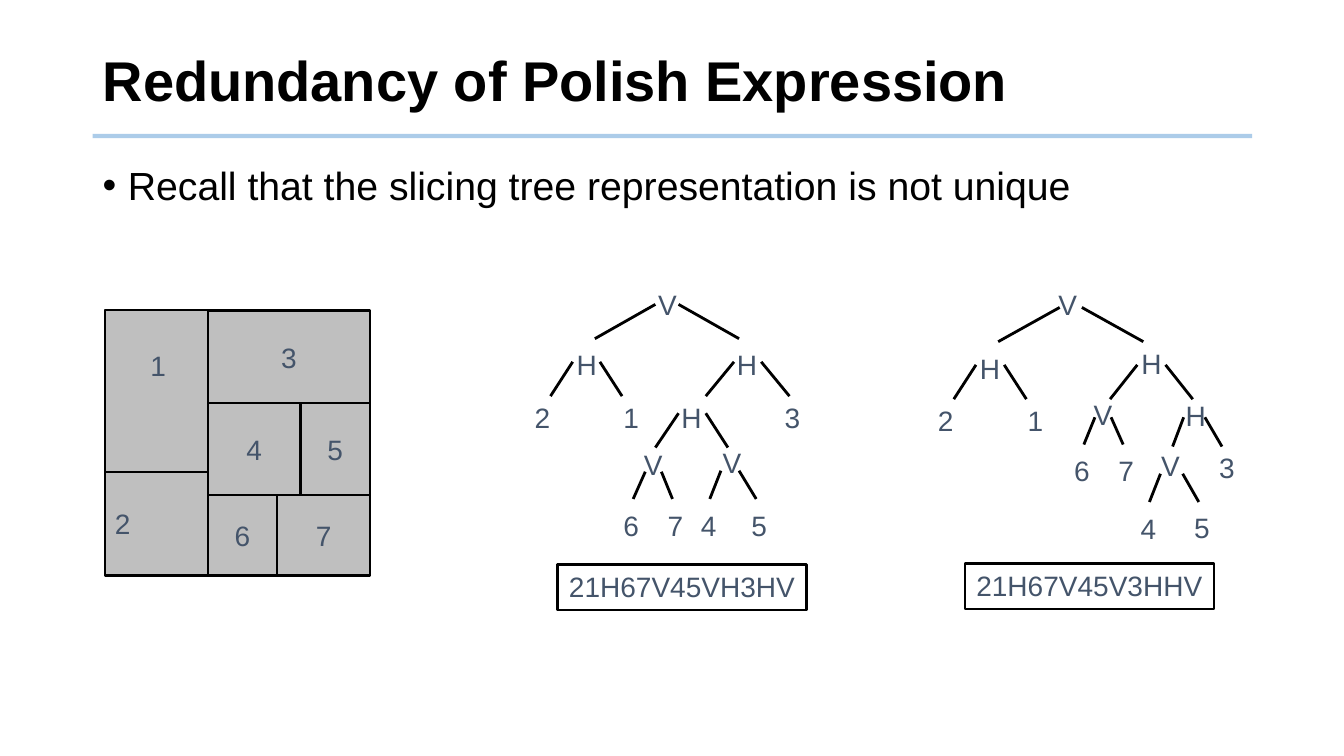
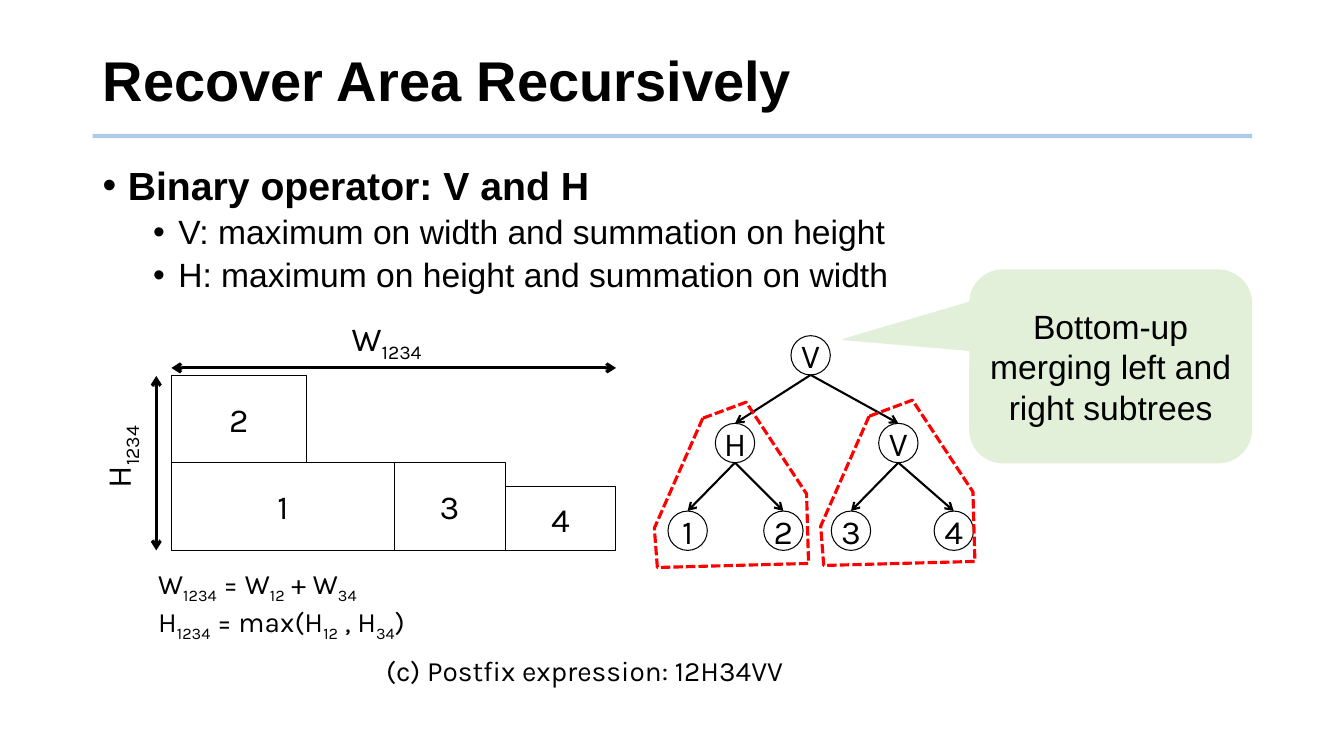
from dataclasses import dataclass
from typing import NamedTuple

from lxml import etree
from pptx import Presentation
from pptx.dml.color import RGBColor
from pptx.enum import dml, shapes as shp, text as txt
from pptx.oxml.ns import qn
from pptx.util import Inches, Pt

# Shared look
BLACK, SLATE, GREY = "000000", "44546A", "BFBFBF"
BLUE, GREEN, RED = "5B9BD5", "E2F0D9", "FF0000"
SANS, KARLA = "Arial", "Karla"
LEFT, MID = txt.PP_ALIGN.LEFT, txt.PP_ALIGN.CENTER
TOP, CENTER = txt.MSO_ANCHOR.TOP, txt.MSO_ANCHOR.MIDDLE
RECT, OVAL = shp.MSO_SHAPE.RECTANGLE, shp.MSO_SHAPE.OVAL


class Item(NamedTuple):
    text: str
    size: int
    bold: bool
    indent: float
    before: int


class Block(NamedTuple):
    text: str
    left: float
    top: float
    right: float
    bottom: float


class Label(NamedTuple):
    text: str
    x: float
    top: float


class Fork(NamedTuple):
    """Two branches leaving at one height and ending at another."""
    left: float
    right: float
    top: float
    left_end: float
    right_end: float
    bottom: float


@dataclass
class Tree:
    labels: list[Label]
    forks: list[Fork]
    code: str
    box: tuple[float, float]


@dataclass
class Node:
    text: str
    x: float
    kids: tuple["Node", ...] = ()


# Drawing helpers
def color(code: str) -> RGBColor:
    return RGBColor.from_string(code)


def style(para, *, size=20, font=SANS, ink=BLACK, bold=False, align=LEFT):
    para.alignment = align
    para.font.size, para.font.name = Pt(size), font
    para.font.bold, para.font.color.rgb = bold, color(ink)


def write(shape, content: str, *, anchor=TOP, wrap=True, pad=(0.1, 0.05), **form):
    """Fill a shape with text; every second part between bars is a subscript."""
    frame = shape.text_frame
    frame.word_wrap, frame.vertical_anchor = wrap, anchor
    frame.margin_left = frame.margin_right = Inches(pad[0])
    frame.margin_top = frame.margin_bottom = Inches(pad[1])
    for i, row in enumerate(content.split("\n")):
        para = frame.add_paragraph() if i else frame.paragraphs[0]
        style(para, **form)
        for j, part in enumerate(row.split("|")):
            if part:
                run = para.add_run()
                run.text = part
                if j % 2:
                    run._r.get_or_add_rPr().set("baseline", "-25000")


def area(slide, left: float, top: float, width: float, height: float):
    return slide.shapes.add_textbox(
        Inches(left), Inches(top), Inches(width), Inches(height))


def outline(shape, ink: str, width: float, fill: str | None = None):
    shape.shadow.inherit = False
    if fill:
        shape.fill.solid()
        shape.fill.fore_color.rgb = color(fill)
    else:
        shape.fill.background()
    shape.line.color.rgb, shape.line.width = color(ink), Pt(width)


def draw(slide, kind, left: float, top: float, width: float, height: float, *,
         ink=BLACK, line=0.75, fill=None):
    shape = slide.shapes.add_shape(
        kind, Inches(left), Inches(top), Inches(width), Inches(height))
    outline(shape, ink, line, fill)
    return shape


def join(slide, x1: float, y1: float, x2: float, y2: float, *,
         ink=BLACK, width=2.0, ends=(), alpha=100):
    link = slide.shapes.add_connector(
        shp.MSO_CONNECTOR.STRAIGHT, Inches(x1), Inches(y1), Inches(x2), Inches(y2))
    link.line.color.rgb, link.line.width = color(ink), Pt(width)
    props = link._element.spPr
    edge = props.find(qn("a:ln"))
    if alpha < 100:
        tint = edge.find(".//" + qn("a:srgbClr"))
        etree.SubElement(tint, qn("a:alpha")).set("val", str(alpha * 1000))
    for end in ends:
        etree.SubElement(edge, qn(f"a:{end}End")).set("type", "arrow")
    etree.SubElement(props, qn("a:effectLst"))
    return link


def start(deck, title: str, items: list[Item]):
    """Add a slide with its title, rule and bullets."""
    slide = deck.slides.add_slide(deck.slide_layouts[6])
    join(slide, 0.92, 1.35, 12.42, 1.35, ink=BLUE, width=3, alpha=50)
    head = area(slide, 0.92, 0.28, 11.5, 1.1)
    write(head, title, size=40, bold=True, anchor=CENTER)
    head.text_frame.paragraphs[0].line_spacing = 0.9
    body = area(slide, 0.92, 1.6, 11.5, 5.15).text_frame
    body.word_wrap = True
    for i, item in enumerate(items):
        para = body.add_paragraph() if i else body.paragraphs[0]
        props = para._p.get_or_add_pPr()
        props.set("marL", str(Inches(item.indent)))
        props.set("indent", str(-Inches(0.25)))
        etree.SubElement(props, qn("a:buFont")).set("typeface", SANS)
        etree.SubElement(props, qn("a:buChar")).set("char", "•")
        para.line_spacing = 0.9
        if i:
            para.space_before = Pt(item.before)
        style(para, size=item.size, bold=item.bold)
        para.add_run().text = item.text
    return slide


# Slide 1 content
FLOOR = [
    Block("", 1.04, 3.08, 2.06, 4.68), Block("2", 1.04, 4.68, 2.06, 5.71),
    Block("3", 2.06, 3.08, 3.67, 4.0), Block("4", 2.06, 4.0, 2.98, 4.91),
    Block("5", 2.98, 4.0, 3.67, 4.91), Block("6", 2.06, 4.91, 2.75, 5.71),
    Block("7", 2.75, 4.91, 3.67, 5.71),
]
TREES = [
    Tree(
        [Label("V", 6.62, 2.8), Label("H", 5.82, 3.4), Label("H", 7.41, 3.4),
         Label("2", 5.38, 3.92), Label("1", 6.26, 3.92), Label("H", 6.86, 3.92),
         Label("3", 7.86, 3.92), Label("V", 6.48, 4.39), Label("V", 7.26, 4.37),
         Label("6", 6.26, 5), Label("7", 6.7, 5), Label("4", 7.03, 5),
         Label("5", 7.53, 5)],
        [Fork(6.5, 6.73, 3.02, 5.9, 7.33, 3.36),
         Fork(5.68, 5.95, 3.59, 5.46, 6.17, 3.93),
         Fork(7.28, 7.55, 3.59, 7.0, 7.83, 3.93),
         Fork(6.73, 7.0, 4.1, 6.5, 7.22, 4.44),
         Fork(6.4, 6.56, 4.68, 6.28, 6.67, 4.95),
         Fork(7.15, 7.33, 4.67, 7.04, 7.5, 4.95)],
        "21H67V45VH3HV", (5.53, 5.6)),
    Tree(
        [Label("V", 10.59, 2.8), Label("H", 9.82, 3.44), Label("H", 11.42, 3.39),
         Label("2", 9.38, 3.95), Label("1", 10.27, 3.95), Label("V", 10.94, 3.89),
         Label("H", 11.86, 3.9), Label("6", 10.73, 4.45), Label("7", 11.17, 4.45),
         Label("V", 11.61, 4.4), Label("3", 12.17, 4.42), Label("4", 11.39, 5.03),
         Label("5", 11.92, 5.02)],
        [Fork(10.51, 10.73, 3.05, 9.9, 11.34, 3.39),
         Fork(9.68, 9.96, 3.62, 9.46, 10.18, 3.96),
         Fork(11.28, 11.56, 3.62, 11.01, 11.83, 3.96),
         Fork(10.86, 11.02, 4.14, 10.75, 11.14, 4.41),
         Fork(11.74, 11.95, 4.14, 11.63, 12.12, 4.43),
         Fork(11.51, 11.73, 4.7, 11.4, 11.89, 4.98)],
        "21H67V45V3HHV", (9.57, 5.59)),
]

# Slide 2 content
STACK = [
    Block("1", 1.7, 4.59, 3.91, 5.46), Block("2", 1.7, 3.73, 3.04, 4.59),
    Block("3", 3.91, 4.59, 5.01, 5.46), Block("4", 5.01, 4.83, 6.11, 5.46),
]
ROOT = Node("V", 8.04, (
    Node("H", 7.29, (Node("1", 6.82), Node("2", 7.77))),
    Node("V", 8.91, (Node("3", 8.44), Node("4", 9.46)))))
RING = [(6.97, 4.15), (6.49, 5.24), (6.52, 5.63), (8.02, 5.59), (8.0, 4.9), (7.4, 3.99)]
SIZE, STEP = 0.39, 0.87


def blocks(slide, parts: list[Block], *, line: float, fill=None, **form):
    for part in parts:
        shape = draw(slide, RECT, part.left, part.top, part.right - part.left,
                     part.bottom - part.top, line=line, fill=fill)
        if part.text:
            align = LEFT if fill and part.text == "2" else MID
            write(shape, part.text, anchor=CENTER, wrap=False, align=align, **form)


def label(slide, item: Label):
    write(area(slide, item.x - 0.2, item.top, 0.4, 0.43), item.text,
          wrap=False, ink=SLATE, align=MID)


def plant(slide, tree: Tree):
    for fork in tree.forks:
        join(slide, fork.left, fork.top, fork.left_end, fork.bottom)
        join(slide, fork.right, fork.top, fork.right_end, fork.bottom)
    for item in tree.labels:
        label(slide, item)
    box = draw(slide, RECT, *tree.box, 2.47, 0.45, line=1.5)
    write(box, tree.code, wrap=False, ink=SLATE, align=MID)


def grow(slide, node: Node, top: float):
    """Draw a node, then its subtrees with arrows to them."""
    disc = draw(slide, OVAL, node.x - SIZE / 2, top, SIZE, SIZE)
    write(disc, node.text, size=24, font=KARLA, align=MID, anchor=CENTER,
          wrap=False, pad=(0, 0))
    for kid in node.kids:
        child = grow(slide, kid, top + STEP)
        link = join(slide, node.x, top + SIZE, kid.x, top + STEP,
                    width=1.5, ends=("tail",))
        link.end_connect(child, 0)
    return disc


def ring(slide, dx: float, dy: float):
    spots = [(Inches(x + dx), Inches(y + dy)) for x, y in RING]
    path = slide.shapes.build_freeform(*spots[0])
    path.add_line_segments(spots[1:], close=True)
    shape = path.convert_to_shape()
    outline(shape, RED, 2.25)
    shape.line.dash_style = dml.MSO_LINE.SQUARE_DOT


def redundancy(deck):
    slide = start(deck, "Redundancy of Polish Expression", [
        Item("Recall that the slicing tree representation is not unique",
             28, False, 0.25, 10)])
    blocks(slide, FLOOR, line=1.5, fill=GREY, ink=SLATE)
    label(slide, Label("1", 1.57, 3.41))
    for tree in TREES:
        plant(slide, tree)


def recover(deck):
    slide = start(deck, "Recover Area Recursively", [
        Item("Binary operator: V and H", 28, True, 0.25, 10),
        Item("V: maximum on width and summation on height", 24, False, 0.75, 5),
        Item("H: maximum on height and summation on width", 24, False, 0.75, 5)])
    blocks(slide, STACK, line=0.75, size=24, font=KARLA)
    # Dimensions
    both = ("head", "tail")
    join(slide, 1.55, 3.73, 1.55, 5.46, width=2.25, ends=both)
    join(slide, 1.7, 3.65, 6.11, 3.65, width=2.25, ends=both)
    side = area(slide, 0.54, 4.26, 1.3, 0.55)
    side.rotation = 270
    write(side, "H|1234", size=24, font=KARLA, align=MID)
    write(area(slide, 1.55, 3.1, 4.57, 0.55), "W|1234", size=24, font=KARLA, align=MID)
    # Formulas
    write(area(slide, 1.47, 5.57, 8.58, 0.86),
          "W|1234| = W|12| + W|34\nH|1234| = max(H|12| , H|34|)", font=KARLA)
    write(area(slide, 1.47, 6.43, 8.66, 0.43), "(c) Postfix expression: 12H34VV",
          font=KARLA, align=MID)
    # Tree, callout and subtree outlines
    grow(slide, ROOT, 3.33)
    note = draw(slide, shp.MSO_SHAPE.ROUNDED_RECTANGULAR_CALLOUT,
                9.62, 2.68, 2.79, 1.91, ink=GREEN, line=1, fill=GREEN)
    for i, value in enumerate((-0.95, -0.14, 0.17)):
        note.adjustments[i] = value
    write(note, "Bottom-up merging left and right subtrees", size=24,
          align=MID, anchor=CENTER)
    for dx, dy in ((0, 0), (1.65, -0.02)):
        ring(slide, dx, dy)


def main():
    deck = Presentation()
    deck.slide_width, deck.slide_height = Inches(13.33), Inches(7.5)
    redundancy(deck)
    recover(deck)
    deck.save("out.pptx")


if __name__ == "__main__":
    main()
